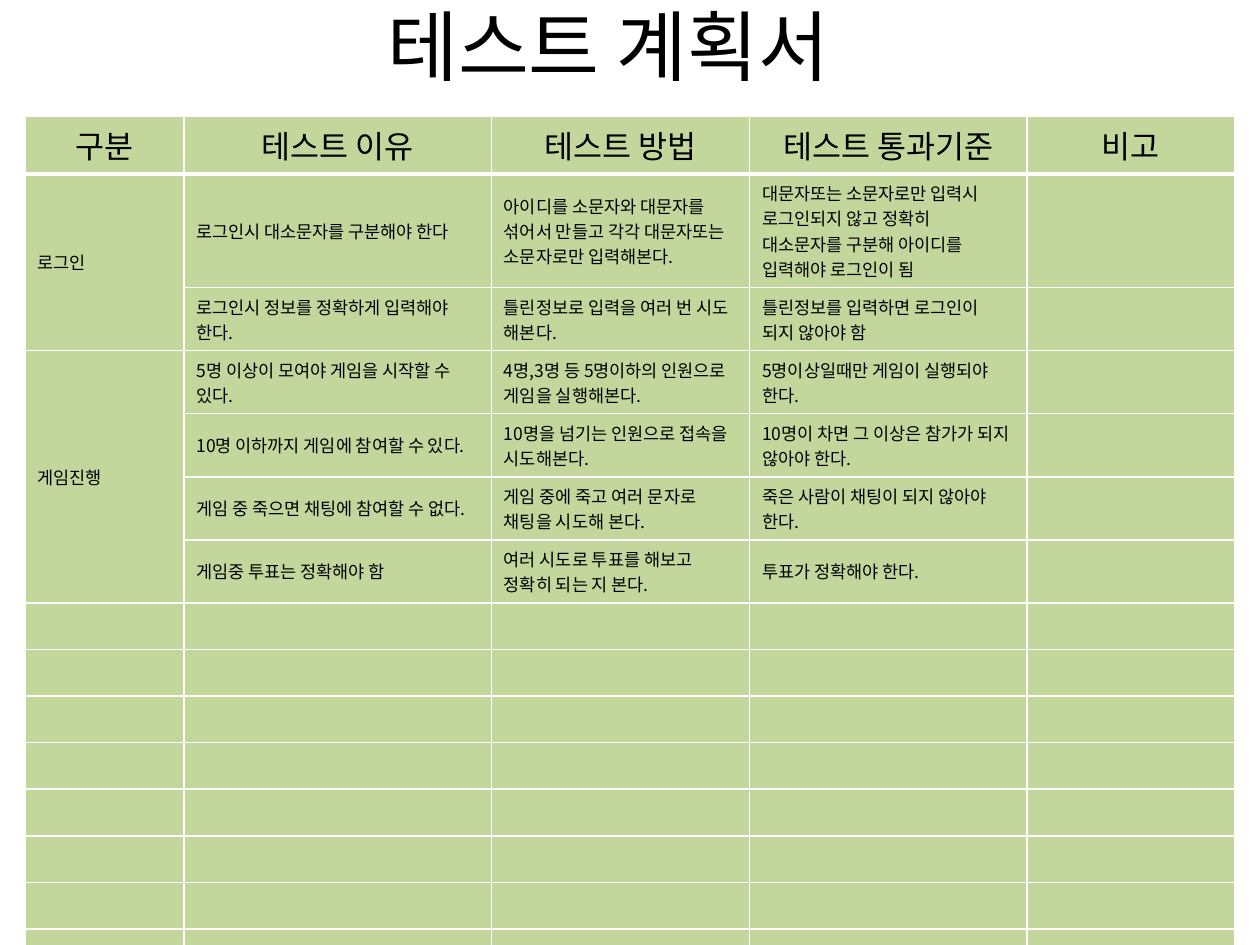
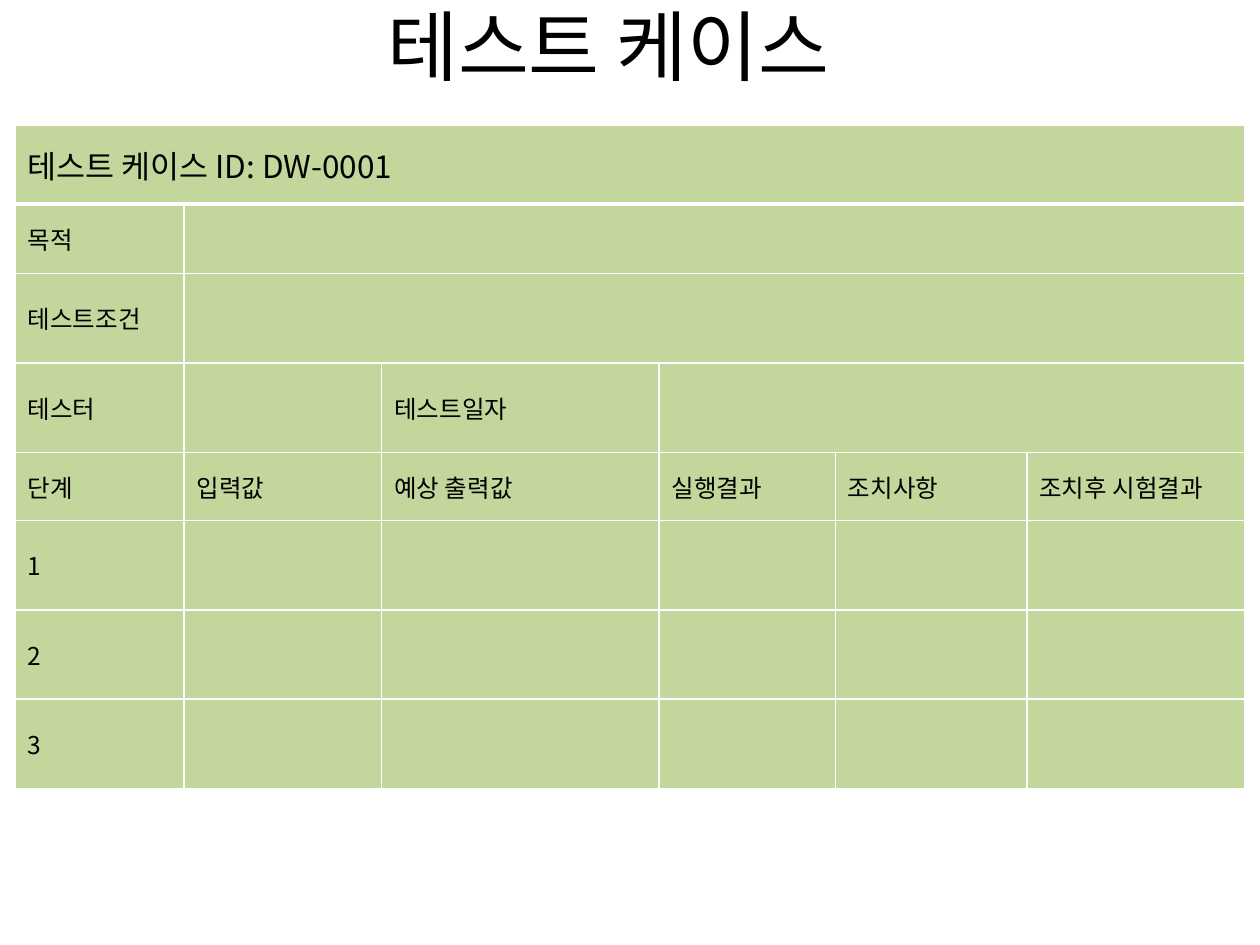
"""Build the test plan and test case slides."""
from typing import NamedTuple

from lxml import etree
from pptx import Presentation, util as u
from pptx.dml.color import RGBColor
from pptx.enum import text
from pptx.oxml.ns import qn

PX = 9144
FONT = "Noto Sans CJK KR"
COLORS = {"ink": "000000", "cell": "C3D69B", "border": "FFFFFF"}
HEADER_SIZE = 18
TITLE_SIZE = 44
THIN, THICK = 1, 3


class Span(NamedTuple):
    """A merged block of cells."""
    row: int
    column: int
    height: int
    width: int


class Sheet(NamedTuple):
    """A titled slide that holds one table."""
    title: str
    left: int
    top: int
    columns: list[int]
    rows: list[int]
    cells: list[list[str]]
    spans: list[Span]
    body_size: int
    header_align: text.PP_ALIGN


PLAN = Sheet(
    title="테스트 계획서",
    left=20,
    top=92,
    columns=[126, 244, 205, 220, 165],
    rows=[37] * 16,
    cells=[
        ["구분", "테스트 이유", "테스트 방법", "테스트 통과기준", "비고"],
        ["로그인", "로그인시 대소문자를 구분해야 한다",
         "아이디를 소문자와 대문자를 섞어서 만들고 각각 대문자또는 소문자로만 입력해본다.",
         "대문자또는 소문자로만 입력시 로그인되지 않고 정확히 대소문자를 구분해 아이디를 입력해야 로그인이 됨"],
        ["", "로그인시 정보를 정확하게 입력해야 한다.",
         "틀린정보로 입력을 여러 번 시도 해본다.",
         "틀린정보를 입력하면 로그인이 되지 않아야 함"],
        ["게임진행", "5명 이상이 모여야 게임을 시작할 수 있다.",
         "4명,3명 등 5명이하의 인원으로 게임을 실행해본다.",
         "5명이상일때만 게임이 실행되야 한다."],
        ["", "10명 이하까지 게임에 참여할 수 있다.",
         "10명을 넘기는 인원으로 접속을 시도해본다.",
         "10명이 차면 그 이상은 참가가 되지 않아야 한다."],
        ["", "게임 중 죽으면 채팅에 참여할 수 없다.",
         "게임 중에 죽고 여러 문자로 채팅을 시도해 본다.",
         "죽은 사람이 채팅이 되지 않아야 한다."],
        ["", "게임중 투표는 정확해야 함",
         "여러 시도로 투표를 해보고 정확히 되는 지 본다.",
         "투표가 정확해야 한다."],
    ],
    spans=[Span(1, 0, 2, 1), Span(3, 0, 4, 1)],
    body_size=10,
    header_align=text.PP_ALIGN.CENTER,
)

CASE = Sheet(
    title="테스트 케이스",
    left=12,
    top=99,
    columns=[134, 157, 220, 140, 152, 173],
    rows=[63, 55, 71, 71, 54, 71, 71, 71],
    cells=[
        ["테스트 케이스 ID: DW-0001"],
        ["목적"],
        ["테스트조건"],
        ["테스터", "", "테스트일자"],
        ["단계", "입력값", "예상 출력값", "실행결과", "조치사항", "조치후 시험결과"],
        ["1"],
        ["2"],
        ["3"],
    ],
    spans=[Span(0, 0, 1, 6), Span(1, 1, 1, 5), Span(2, 1, 1, 5), Span(3, 3, 1, 3)],
    body_size=14,
    header_align=text.PP_ALIGN.LEFT,
)


def format_paragraph(paragraph, size: int, align: text.PP_ALIGN) -> None:
    """Apply the shared font, and keep the size in empty paragraphs."""
    paragraph.alignment = align
    for run in paragraph.runs:
        run.font.size = u.Pt(size)
        run.font.bold = False
        run.font.color.rgb = RGBColor.from_string(COLORS["ink"])
        run.font.name = FONT
        etree.SubElement(run.font._element, qn("a:ea"), typeface=FONT)
    etree.SubElement(paragraph._p, qn("a:endParaRPr"), sz=str(size * 100))


def set_borders(cell, top: int, bottom: int) -> None:
    """Draw the four borders of a cell, with widths in points."""
    properties = cell._tc.get_or_add_tcPr()
    for side, width in (("L", THIN), ("R", THIN), ("T", top), ("B", bottom)):
        line = etree.SubElement(properties, qn(f"a:ln{side}"), w=str(u.Pt(width)))
        fill = etree.SubElement(line, qn("a:solidFill"))
        etree.SubElement(fill, qn("a:srgbClr"), val=COLORS["border"])


def add_title(slide, title: str) -> None:
    """Place and format the slide title."""
    shape = slide.shapes.title
    shape.left, shape.top, shape.width, shape.height = (
        value * PX for value in (33, -27, 900, 125))
    shape.text_frame.text = title
    shape.text_frame.vertical_anchor = text.MSO_ANCHOR.MIDDLE
    format_paragraph(shape.text_frame.paragraphs[0], TITLE_SIZE, text.PP_ALIGN.CENTER)


def add_sheet_table(slide, sheet: Sheet) -> None:
    """Add the table of a sheet with its merged cells."""
    table = slide.shapes.add_table(
        len(sheet.rows), len(sheet.columns), sheet.left * PX, sheet.top * PX,
        sum(sheet.columns) * PX, sum(sheet.rows) * PX).table
    table.first_row = table.horz_banding = False
    for column, width in zip(table.columns, sheet.columns):
        column.width = width * PX
    for row, height in zip(table.rows, sheet.rows):
        row.height = height * PX

    for row_index, row in enumerate(table.rows):
        words = sheet.cells[row_index] if row_index < len(sheet.cells) else []
        is_header = row_index == 0
        size = HEADER_SIZE if is_header else sheet.body_size
        align = sheet.header_align if is_header else text.PP_ALIGN.LEFT
        for column_index, cell in enumerate(row.cells):
            cell.text_frame.text = words[column_index] if column_index < len(words) else ""
            cell.vertical_anchor = text.MSO_ANCHOR.MIDDLE
            format_paragraph(cell.text_frame.paragraphs[0], size, align)
            set_borders(cell, THICK if row_index == 1 else THIN,
                        THICK if is_header else THIN)
            cell.fill.solid()
            cell.fill.fore_color.rgb = RGBColor.from_string(COLORS["cell"])

    for span in sheet.spans:
        last = table.cell(span.row + span.height - 1, span.column + span.width - 1)
        table.cell(span.row, span.column).merge(last)


def main() -> None:
    """Build both slides and save the presentation."""
    presentation = Presentation()
    presentation.slide_width, presentation.slide_height = 1000 * PX, 750 * PX
    title_only = presentation.slide_layouts[5]
    for sheet in (PLAN, CASE):
        slide = presentation.slides.add_slide(title_only)
        add_title(slide, sheet.title)
        add_sheet_table(slide, sheet)
    presentation.save("out.pptx")


if __name__ == "__main__":
    main()
